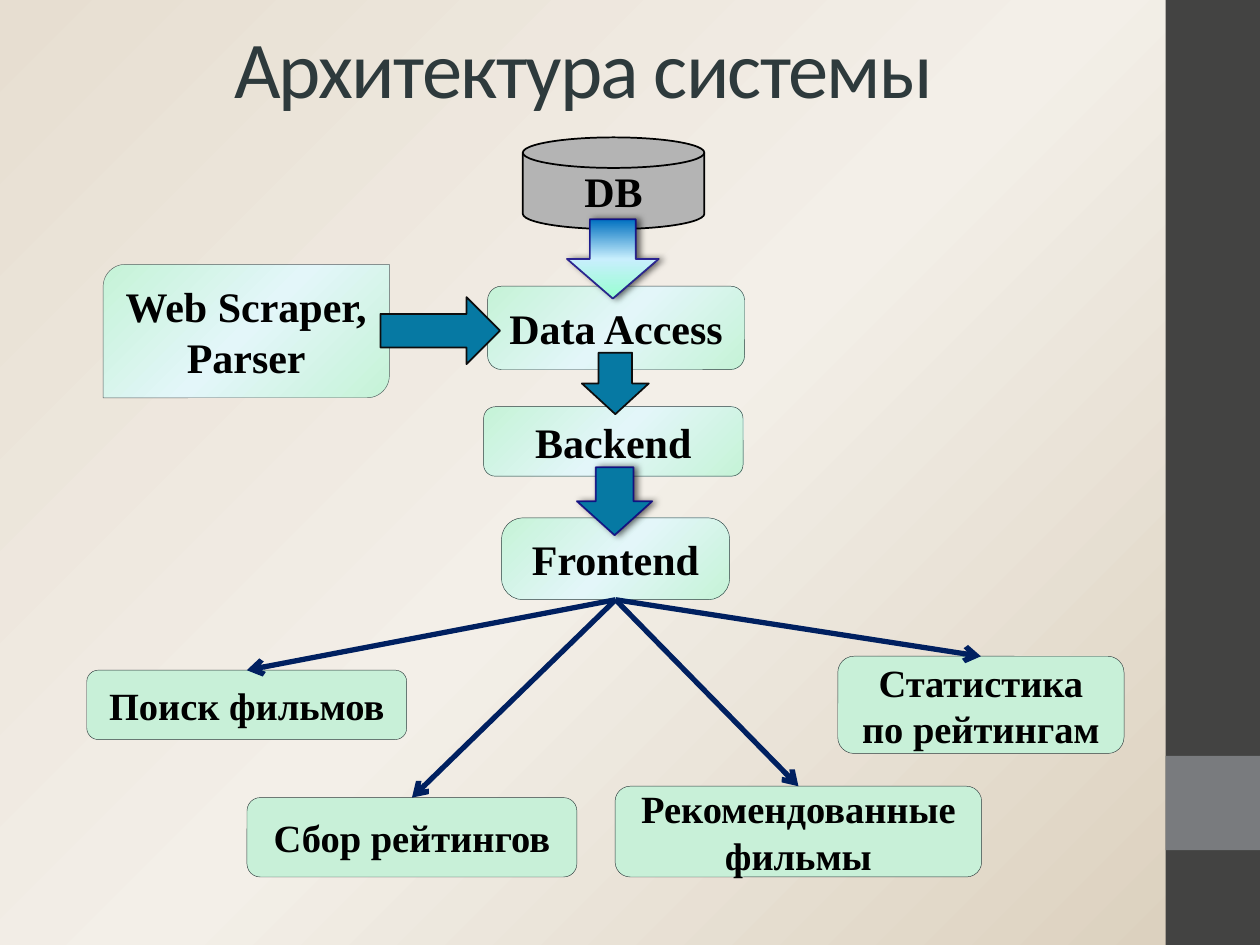
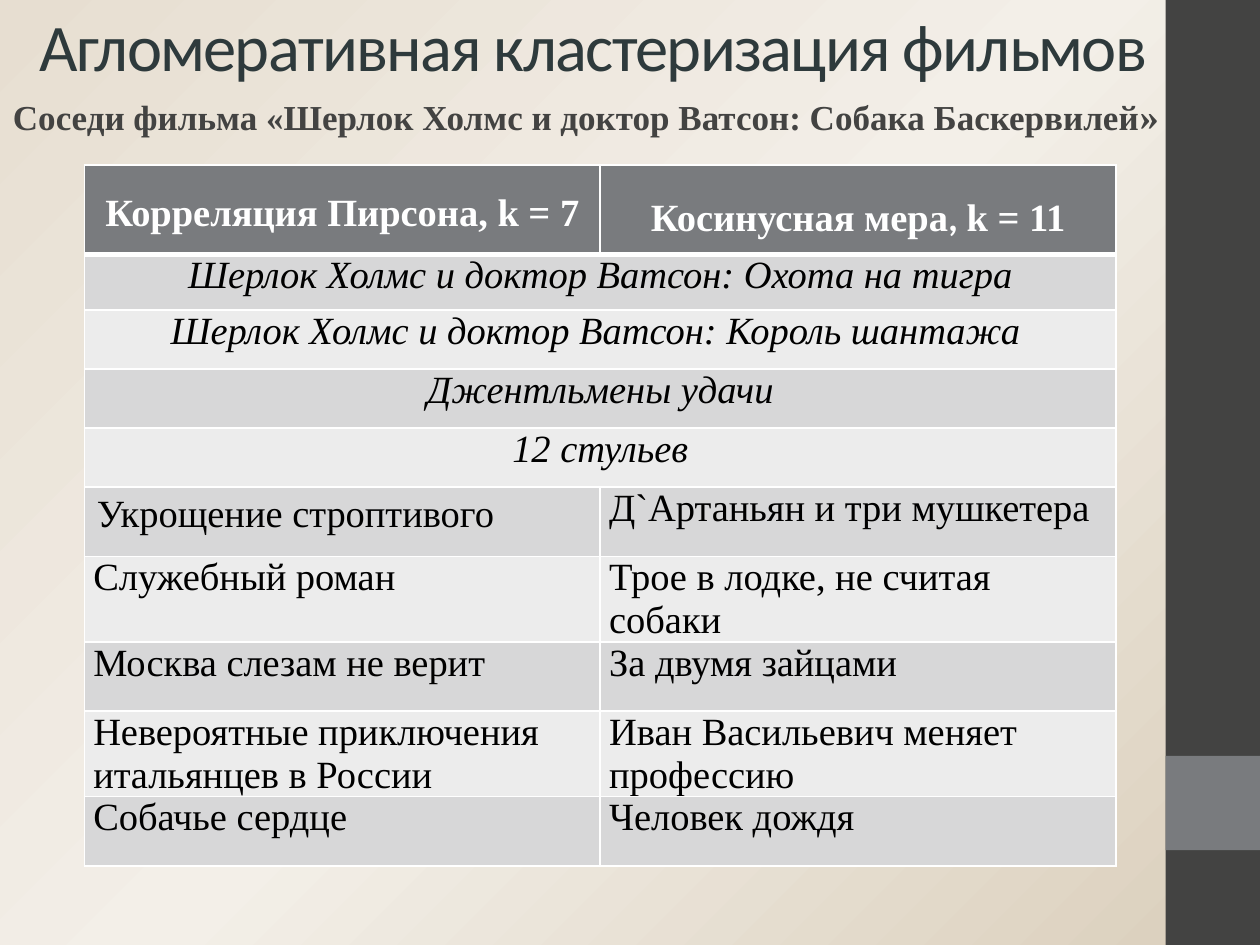
from dataclasses import dataclass
from typing import Optional, Sequence

from lxml import etree
from pptx import Presentation
from pptx import util as u
from pptx.dml.color import RGBColor
from pptx.enum import shapes, text
from pptx.oxml import parse_xml
from pptx.oxml.ns import nsdecls, qn

BLACK = RGBColor(0x00, 0x00, 0x00)
WHITE = RGBColor(0xFF, 0xFF, 0xFF)
SLATE = RGBColor(0x2E, 0x3A, 0x3C)
CHARCOAL = RGBColor(0x43, 0x43, 0x42)
GREY = RGBColor(0x79, 0x7B, 0x7E)
SCRAPER_EDGE = RGBColor(0x5A, 0x5B, 0x5D)
DISK_GREY = RGBColor(0xB4, 0xB4, 0xB4)
MINT = RGBColor(0xC8, 0xF0, 0xD8)
TEAL = RGBColor(0x06, 0x79, 0xA3)
ARROW_EDGE = RGBColor(0x0D, 0x0D, 0x0D)
INDIGO = RGBColor(0x0F, 0x00, 0x7E)
NAVY = RGBColor(0x00, 0x20, 0x60)
ROW_DARK = RGBColor(0xD7, 0xD7, 0xD8)
ROW_LIGHT = RGBColor(0xEC, 0xEC, 0xEC)

SANS = "Calibri"
SERIF = "Times New Roman"
SHAPE = shapes.MSO_SHAPE
CENTER = text.PP_ALIGN.CENTER
LEFT = text.PP_ALIGN.LEFT


@dataclass(frozen=True)
class Box:
    """Place and size in centimetres."""
    left: float
    top: float
    width: float
    height: float

    def lengths(self) -> tuple:
        return tuple(u.Cm(v) for v in (self.left, self.top, self.width, self.height))


@dataclass(frozen=True)
class Gradient:
    """Three stops at 0, 50 and 100 %, along an angle or from the bottom right corner."""
    stops: Sequence[RGBColor]
    angle: Optional[int] = None


@dataclass(frozen=True)
class Node:
    label: str
    box: Box
    fill: object = MINT
    size: int = 22
    kind: int = SHAPE.ROUNDED_RECTANGLE
    edge: RGBColor = SLATE
    edge_width: float = 0.25
    corner: Optional[float] = None


@dataclass(frozen=True)
class Flow:
    """A block arrow from one layer to the next."""
    box: Box
    fill: object = TEAL
    rotation: int = 0
    raised: bool = False


PAPER = Gradient((RGBColor(0xE7, 0xDE, 0xD1), RGBColor(0xF3, 0xEF, 0xE8),
                  RGBColor(0xDA, 0xCE, 0xBB)), 45)
MINT_GLOW = Gradient((RGBColor(0xC5, 0xF3, 0xD7), RGBColor(0xE3, 0xF6, 0xF9),
                      RGBColor(0xC5, 0xF3, 0xD7)))
SEA = Gradient((RGBColor(0x00, 0x70, 0xC0), RGBColor(0xC8, 0xEF, 0xFD),
                RGBColor(0x97, 0xFF, 0xD0)), 90)

BANDS = ((Box(23.5, 0, 1.9, 19.05), CHARCOAL), (Box(23.5, 15.24, 1.9, 1.9), GREY))

FRONTEND = Node("Frontend", Box(10.11, 10.44, 4.6, 1.65), MINT_GLOW, 24, corner=0.263)
LAYERS = (
    Node("Data Access", Box(9.83, 5.77, 5.18, 1.68), MINT_GLOW, 24),
    Node("Web Scraper, Parser", Box(2.08, 5.33, 5.77, 2.69), MINT_GLOW, 24,
         SHAPE.ROUND_2_DIAG_RECTANGLE, SCRAPER_EDGE),
    Node("Backend", Box(9.75, 8.2, 5.23, 1.4), MINT_GLOW, 24),
    Node("DB", Box(10.54, 2.77, 3.66, 1.85), DISK_GREY, 24,
         SHAPE.FLOWCHART_MAGNETIC_DISK, BLACK, 1),
)
FEATURES = (
    Node("Поиск фильмов", Box(1.75, 13.51, 6.45, 1.4)),
    Node("Сбор рейтингов", Box(4.98, 16.08, 6.65, 1.6)),
    Node("Рекомендованные фильмы", Box(12.4, 15.85, 7.39, 1.83)),
    Node("Статистика по рейтингам", Box(16.89, 13.23, 5.77, 1.96)),
)
FLOWS = (
    Flow(Box(11.73, 7.11, 1.35, 1.24)),
    Flow(Box(11.43, 4.42, 1.85, 1.6), SEA, raised=True),
    Flow(Box(11.63, 9.42, 1.52, 1.37), raised=True),
    Flow(Box(8.2, 5.46, 1.35, 2.41), rotation=270),
)

MEASURES = (("Корреляция Пирсона, k = 7",), ("Косинусная мера", ", ", "k = 11"))
COMMON_FILMS = (
    "Шерлок Холмс и доктор Ватсон: Охота на тигра",
    "Шерлок Холмс и доктор Ватсон: Король шантажа ",
    "Джентльмены удачи",
    "12 стульев",
)
FILM_PAIRS = (
    ("Укрощение строптивого", "Д`Артаньян и три мушкетера"),
    ("Служебный роман", "Трое в лодке, не считая собаки"),
    ("Москва слезам не верит", "За двумя зайцами"),
    ("Невероятные приключения итальянцев в России", "Иван Васильевич меняет профессию"),
    ("Собачье сердце", "Человек дождя"),
)
ROW_HEIGHTS = (1.8, 1.12, *[1.19] * 3, *[1.4] * 5)


def apply_gradient(fill, owner, gradient: Gradient) -> None:
    """Give fill its gradient; owner is the XML element that holds it."""
    fill.gradient()
    stops = "".join(f'<a:gs pos="{i * 50000}"><a:srgbClr val="{color}"/></a:gs>'
                    for i, color in enumerate(gradient.stops))
    if gradient.angle is None:
        course = ('<a:path path="circle"><a:fillToRect l="100000" t="100000"/></a:path>'
                  '<a:tileRect r="-100000" b="-100000"/>')
    else:
        course = f'<a:lin ang="{gradient.angle * 60000}" scaled="0"/>'
    old = owner.find(f".//{qn('a:gradFill')}")
    old.getparent().replace(old, parse_xml(
        f'<a:gradFill {nsdecls("a")} rotWithShape="1">'
        f'<a:gsLst>{stops}</a:gsLst>{course}</a:gradFill>'))


def outer_shadow(angle: int):
    return parse_xml(
        f'<a:effectLst {nsdecls("a")}><a:outerShdw blurRad="50800" dist="25400" '
        f'dir="{angle * 60000}"><a:srgbClr val="000000"><a:alpha val="60000"/>'
        '</a:srgbClr></a:outerShdw></a:effectLst>')


def style_run(run, size: float, color: RGBColor, name: str = SERIF,
              bold: bool = False, italic: bool = False) -> None:
    font = run.font
    font.size, font.name, font.bold, font.italic = u.Pt(size), name, bold, italic
    font.color.rgb = color


def add_filled(slide, kind: int, box: Box, fill):
    shape = slide.shapes.add_shape(kind, *box.lengths())
    shape.shadow.inherit = False
    if isinstance(fill, Gradient):
        apply_gradient(shape.fill, shape.element.spPr, fill)
    else:
        shape.fill.solid()
        shape.fill.fore_color.rgb = fill
    return shape


def set_edge(shape, color: RGBColor, width: float) -> None:
    shape.line.color.rgb = color
    shape.line.width = u.Pt(width)


def move_bands_to_master(master, slide) -> None:
    """Draw the side bands and hand them to the master, behind its placeholders."""
    for order, (box, color) in enumerate(BANDS):
        band = add_filled(slide, SHAPE.RECTANGLE, box, color)
        band.line.fill.background()
        band.element.nvSpPr.cNvPr.set("id", str(100 + order))
        master.shapes.element.insert(2 + order, band.element)


def place(placeholder, box: Box, anchor):
    placeholder.left, placeholder.top, placeholder.width, placeholder.height = box.lengths()
    frame = placeholder.text_frame
    frame.word_wrap = True
    frame.auto_size = text.MSO_AUTO_SIZE.NONE
    frame.vertical_anchor = anchor
    return frame


def set_title(slide, wording: str, box: Box, size: float) -> None:
    frame = place(slide.shapes.title, box, text.MSO_ANCHOR.MIDDLE)
    frame.text = wording
    frame.paragraphs[0].alignment = CENTER
    run = frame.paragraphs[0].runs[0]
    style_run(run, size, SLATE, SANS)
    properties = run.font._element
    properties.set("spc", "-100")
    properties.find(qn("a:solidFill")).addnext(outer_shadow(45))


def add_node(slide, node: Node):
    shape = add_filled(slide, node.kind, node.box, node.fill)
    set_edge(shape, node.edge, node.edge_width)
    if node.corner is not None:
        shape.adjustments[0] = node.corner
    frame = shape.text_frame
    frame.word_wrap = True
    frame.vertical_anchor = text.MSO_ANCHOR.MIDDLE
    frame.text = node.label
    frame.paragraphs[0].alignment = CENTER
    style_run(frame.paragraphs[0].runs[0], node.size, BLACK, bold=True)
    return shape


def add_flow(slide, flow: Flow) -> None:
    arrow = add_filled(slide, SHAPE.DOWN_ARROW, flow.box, flow.fill)
    arrow.rotation = flow.rotation
    set_edge(arrow, INDIGO if flow.raised else ARROW_EDGE, 1)
    if flow.raised:
        properties = arrow.element.spPr
        edge = properties.find(f"{qn('a:ln')}//{qn('a:srgbClr')}")
        etree.SubElement(edge, qn("a:alpha")).set("val", "83000")
        properties.replace(properties.find(qn("a:effectLst")), outer_shadow(0))


def link(slide, start, end) -> None:
    """Arrow from the bottom of start to the top of end."""
    arrow = slide.shapes.add_connector(shapes.MSO_CONNECTOR.STRAIGHT, 0, 0, 0, 0)
    arrow.begin_connect(start, 2)
    arrow.end_connect(end, 0)
    set_edge(arrow, NAVY, 3)
    etree.SubElement(arrow.line._get_or_add_ln(), qn("a:tailEnd")).set("type", "arrow")
    etree.SubElement(arrow._element.spPr, qn("a:effectLst"))


def format_cell(cell, fill: RGBColor, bottom: float = 1) -> None:
    properties = cell._tc.get_or_add_tcPr()
    for side, width in (("L", 1), ("R", 1), ("T", 1), ("B", bottom)):
        properties.append(parse_xml(
            f'<a:ln{side} {nsdecls("a")} w="{u.Pt(width)}"><a:solidFill>'
            f'<a:srgbClr val="{WHITE}"/></a:solidFill></a:ln{side}>'))
    cell.fill.solid()
    cell.fill.fore_color.rgb = fill


def write_film(cell, film: str, shared: bool) -> None:
    cell.text = film
    paragraph = cell.text_frame.paragraphs[0]
    paragraph.alignment = CENTER if shared else LEFT
    style_run(paragraph.runs[0], 22, BLACK, italic=shared)
    if film != FILM_PAIRS[0][0]:
        cell.margin_left = cell.margin_right = u.Cm(0.18)
        cell.margin_top = cell.margin_bottom = 0


def add_film_table(slide) -> None:
    box = Box(1.7, 3.33, 20.8, sum(ROW_HEIGHTS))
    table = slide.shapes.add_table(len(ROW_HEIGHTS), 2, *box.lengths()).table
    for row, height in zip(table.rows, ROW_HEIGHTS):
        row.height = u.Cm(height)
    for column, measure in enumerate(MEASURES):
        cell = table.cell(0, column)
        format_cell(cell, GREY, bottom=3)
        paragraph = cell.text_frame.paragraphs[0]
        paragraph.alignment = CENTER
        paragraph.line_spacing = 1.5
        for part in measure:
            run = paragraph.add_run()
            run.text = part
            style_run(run, 22, WHITE, SANS if part == ", " else SERIF, bold=True)
    films = [(film,) for film in COMMON_FILMS] + list(FILM_PAIRS)
    for row, names in enumerate(films, start=1):
        for column in range(2):
            format_cell(table.cell(row, column), ROW_DARK if row % 2 else ROW_LIGHT)
        shared = len(names) == 1
        if shared:
            table.cell(row, 0).merge(table.cell(row, 1))
        for column, film in enumerate(names):
            write_film(table.cell(row, column), film, shared)


def build_architecture(slide) -> None:
    set_title(slide, "Архитектура системы", Box(0.36, -0.08, 22.81, 2.84), 46)
    frontend = add_node(slide, FRONTEND)
    for layer in LAYERS:
        add_node(slide, layer)
    for flow in FLOWS:
        add_flow(slide, flow)
    for feature in FEATURES:
        link(slide, frontend, add_node(slide, feature))


def build_clustering(slide) -> None:
    set_title(slide, "Агломеративная кластеризация фильмов",
              Box(-0.3, -0.28, 24.51, 2.39), 38)
    frame = place(slide.placeholders[1], Box(-0.89, 1.52, 25.4, 1.4), text.MSO_ANCHOR.BOTTOM)
    frame.text = "Соседи фильма «Шерлок Холмс и доктор Ватсон: Собака Баскервилей"
    neighbours = frame.paragraphs[0]
    neighbours.alignment = CENTER
    properties = neighbours._p.get_or_add_pPr()
    properties.set("marL", "0")
    properties.set("indent", "0")
    etree.SubElement(properties, qn("a:buNone"))
    neighbours.add_run().text = "»"
    for run, size in zip(neighbours.runs, (20, 22)):
        style_run(run, size, CHARCOAL, bold=True)
    add_film_table(slide)


def main() -> None:
    deck = Presentation()
    deck.slide_width, deck.slide_height = u.Cm(25.4), u.Cm(19.05)
    master = deck.slide_master
    apply_gradient(master.background.fill, master.element, PAPER)
    architecture = deck.slides.add_slide(deck.slide_layouts[5])
    move_bands_to_master(master, architecture)
    build_architecture(architecture)
    build_clustering(deck.slides.add_slide(deck.slide_layouts[1]))
    deck.save("out.pptx")


if __name__ == "__main__":
    main()
